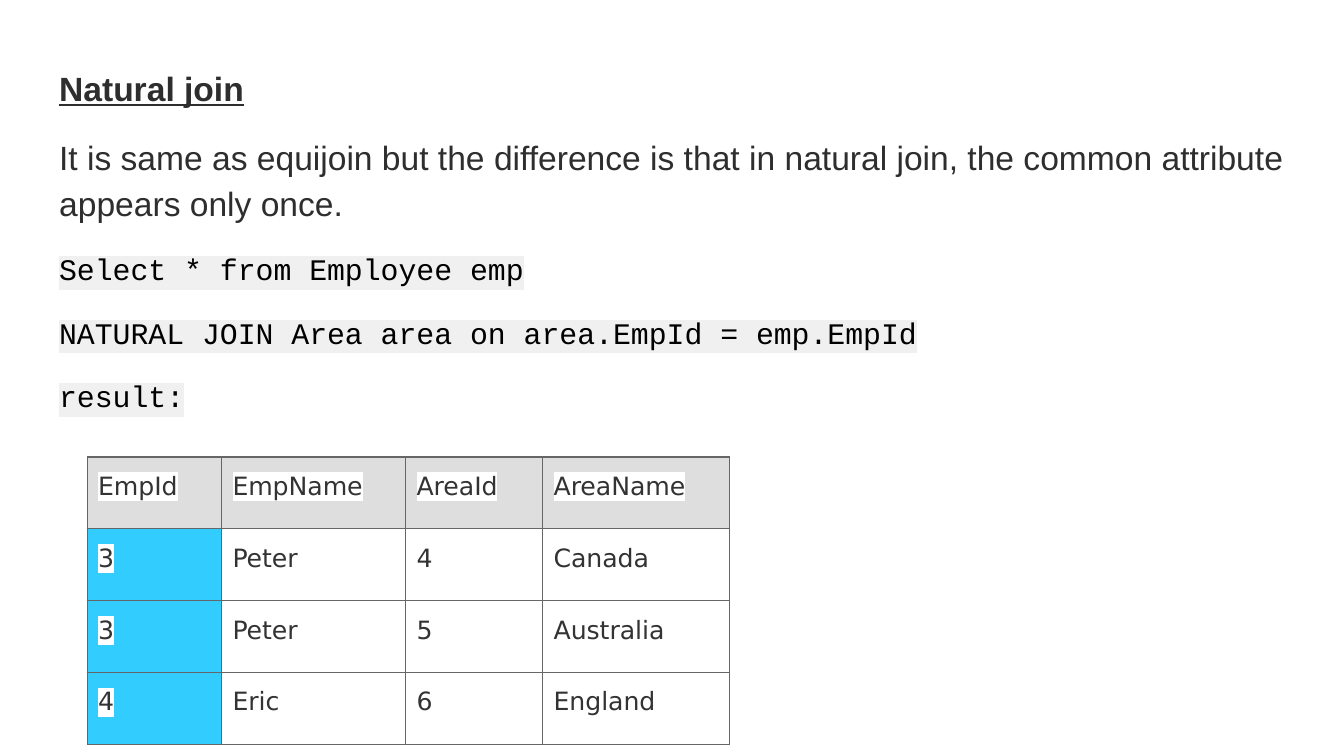
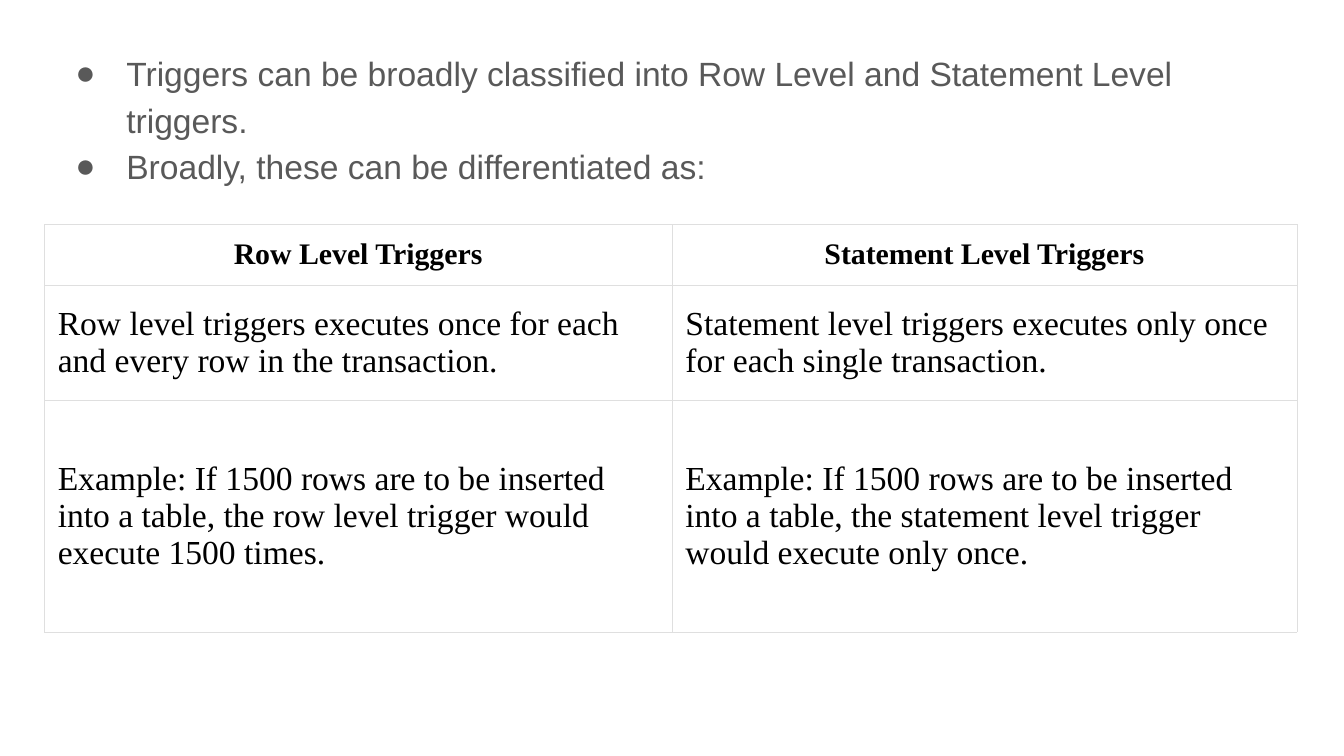
from dataclasses import dataclass, replace

from lxml import etree
from pptx import Presentation
from pptx.dml.color import RGBColor
from pptx.enum.text import MSO_ANCHOR, MSO_AUTO_SIZE, PP_ALIGN
from pptx.oxml.ns import qn
from pptx.util import Inches, Pt

TOP, MIDDLE = MSO_ANCHOR.TOP, MSO_ANCHOR.MIDDLE
LEFT, CENTER = PP_ALIGN.LEFT, PP_ALIGN.CENTER
NO_FIT = MSO_AUTO_SIZE.NONE


@dataclass(frozen=True)
class Style:
    face: str
    size: float
    color: str
    mark: str = ""
    bold: bool = False
    under: bool = False


@dataclass(frozen=True)
class Theme:
    prose = Style("Arial", 18, "2E2E2E", "FFFFFF")
    head = replace(prose, bold=True, under=True)
    code = Style("Courier New", 16, "000000", "F0F0F0")
    bullet = Style("Arial", 18, "595959")
    data = Style("DejaVu Sans", 13.5, "333333", "FFFFFF")
    serif = Style("Times New Roman", 18, "000000")
    label = replace(serif, size=16, bold=True)
    white = "FFFFFF"
    gray = "DEDEDE"
    cyan = "33CCFF"
    grid = ("666666", 0.75)
    hair = ("DFDFDF", 0.23)
    lines = 1.15
    gap = 12


THEME = Theme()


def add_color(parent, color):
    etree.SubElement(parent, qn("a:srgbClr"), val=color)


def style_runs(para, style):
    for run in para.runs:
        font = run.font
        font.name, font.size = style.face, Pt(style.size)
        font.bold, font.underline = style.bold, style.under
        font.color.rgb = RGBColor.from_string(style.color)
        if style.mark:
            mark = etree.Element(qn("a:highlight"))
            add_color(mark, style.mark)
            run._r.rPr.find(qn("a:solidFill")).addnext(mark)


def set_bullet(para, color=None):
    """Give a hanging round bullet, or no bullet when color is None."""
    props = para._p.get_or_add_pPr()
    props.set("marL", str(Inches(0.5) if color else 0))
    props.set("indent", str(Inches(-0.38) if color else 0))
    if color:
        add_color(etree.SubElement(props, qn("a:buClr")), color)
        etree.SubElement(props, qn("a:buChar"), char="●")
    else:
        etree.SubElement(props, qn("a:buNone"))


def set_inset(item, side, top):
    item.margin_left = item.margin_right = Inches(side)
    item.margin_top = item.margin_bottom = Inches(top)


def add_slide(deck):
    slide = deck.slides.add_slide(deck.slide_layouts[1])
    title = slide.shapes.title._element
    title.getparent().remove(title)
    return slide


def fill_body(slide, box, items, gap=0, dot=None):
    """Place the body and write its (text, style) items."""
    body = slide.placeholders[1]
    body.left, body.top, body.width, body.height = map(Inches, box)
    frame = body.text_frame
    frame.word_wrap, frame.auto_size = True, NO_FIT
    frame.vertical_anchor = TOP
    set_inset(frame, 0.1, 0.1)
    frame.text = "\n".join(text for text, _ in items)
    for i, (para, (_, style)) in enumerate(zip(frame.paragraphs, items)):
        para.line_spacing = THEME.lines
        para.space_before = Pt(gap if i else 0)
        set_bullet(para, dot)
        style_runs(para, style)


def set_border(cell, color, width):
    props = cell._tc.get_or_add_tcPr()
    for i, side in enumerate("LRTB"):
        line = etree.Element(qn(f"a:ln{side}"), w=str(Pt(width)))
        add_color(etree.SubElement(line, qn("a:solidFill")), color)
        props.insert(i, line)


def set_cell(cell, text, style, fill, border, inset, align=LEFT,
             anchor=TOP, lines=1.0):
    cell.text = text
    cell.vertical_anchor = anchor
    set_inset(cell, *inset)
    cell.fill.solid()
    cell.fill.fore_color.rgb = RGBColor.from_string(fill)
    set_border(cell, *border)
    para = cell.text_frame.paragraphs[0]
    para.alignment, para.line_spacing = align, lines
    style_runs(para, style)


def add_table(slide, spot, cols, rows, data, look):
    """Draw data; look(row, col) gives the options of set_cell."""
    size = sum(cols), sum(rows)
    shape = slide.shapes.add_table(
        len(rows), len(cols), *map(Inches, (*spot, *size)))
    table = shape.table
    table.first_row = table.horz_banding = False
    for col, width in zip(table.columns, cols):
        col.width = Inches(width)
    for row, height in zip(table.rows, rows):
        row.height = Inches(height)
    for r, texts in enumerate(data):
        for c, text in enumerate(texts):
            set_cell(table.cell(r, c), text, **look(r, c))


def join_look(row, col):
    fill = THEME.white if col else THEME.cyan
    return dict(style=THEME.data, fill=fill if row else THEME.gray,
                border=THEME.grid, inset=(0.08, 0.08), lines=THEME.lines)


def level_look(row, col):
    look = dict(fill=THEME.white, border=THEME.hair, anchor=MIDDLE)
    if row:
        return dict(look, style=THEME.serif, inset=(0.1, 0.15))
    return dict(look, style=THEME.label, align=CENTER,
                inset=(0.1 if col else 0.04, 0.1))


def join_slide(deck):
    slide = add_slide(deck)
    fill_body(slide, (0.34, 0.36, 9.32, 4.63), [
        ("Natural join", THEME.head),
        ("It is same as equijoin but the difference is that in natural "
         "join, the common attribute appears only once.", THEME.prose),
        ("Select * from Employee emp", THEME.code),
        ("NATURAL JOIN Area area on area.EmpId = emp.EmpId", THEME.code),
        ("result:", THEME.code),
    ], gap=THEME.gap)
    add_table(slide, (0.65, 3.4), (1, 1.37, 1.02, 1.39), [2.14 / 4] * 4, [
        ("EmpId", "EmpName", "AreaId", "AreaName"),
        ("3", "Peter", "4", "Canada"),
        ("3", "Peter", "5", "Australia"),
        ("4", "Eric", "6", "England"),
    ], join_look)


def trigger_slide(deck):
    slide = add_slide(deck)
    fill_body(slide, (0.34, 0.25, 9.32, 5.07), [
        ("Triggers can be broadly classified into Row Level and "
         "Statement Level triggers.", THEME.bullet),
        ("Broadly, these can be differentiated as:", THEME.bullet),
    ], dot=THEME.bullet.color)
    add_table(slide, (0.33, 1.67), (4.67, 4.65), (0.45, 0.85, 1.73), [
        ("Row Level Triggers", "Statement Level Triggers"),
        ("Row level triggers executes once for each and every row in the "
         "transaction.",
         "Statement level triggers executes only once for each single "
         "transaction."),
        ("Example: If 1500 rows are to be inserted into a table, the row "
         "level trigger would execute 1500 times.",
         "Example: If 1500 rows are to be inserted into a table, the "
         "statement level trigger would execute only once."),
    ], level_look)


def main():
    deck = Presentation()
    deck.slide_width = Inches(10)
    deck.slide_height = deck.slide_width * 9 // 16
    join_slide(deck)
    trigger_slide(deck)
    deck.save("out.pptx")


if __name__ == "__main__":
    main()
